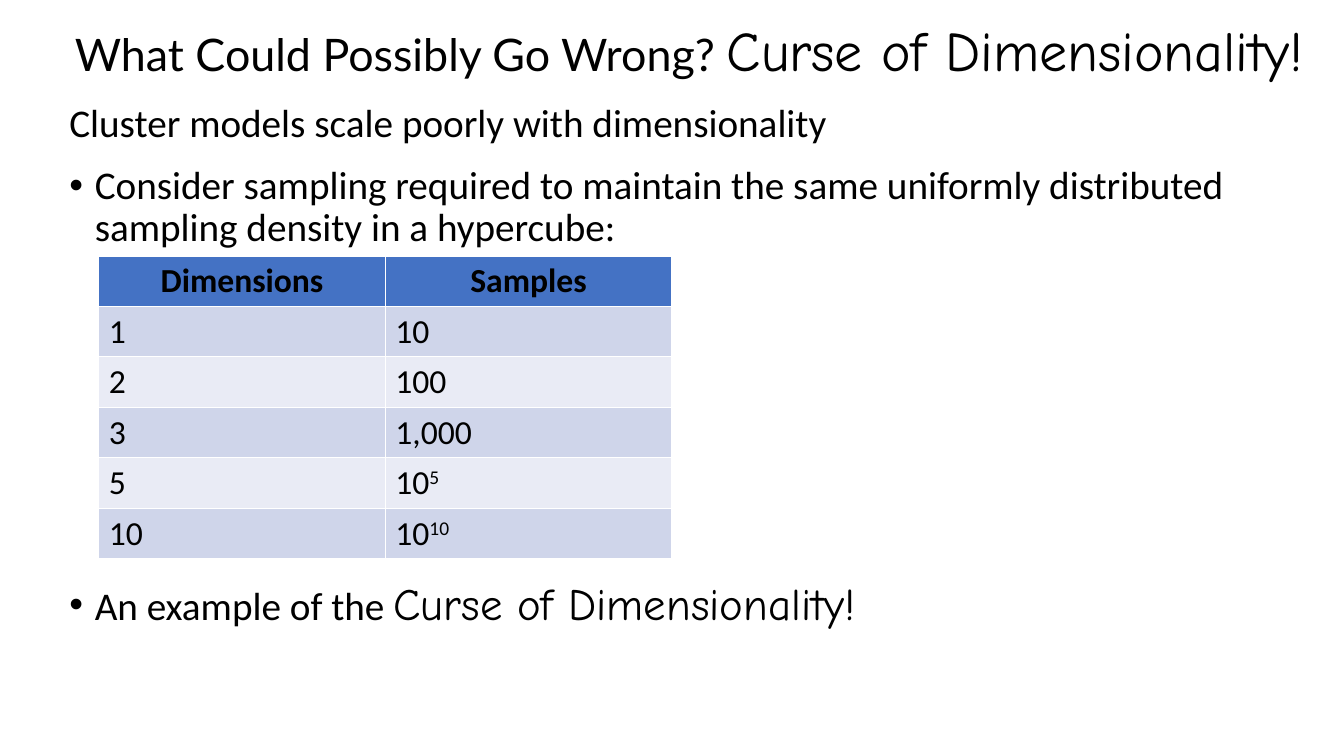
"""Build the slide on how cluster models scale with dimensionality."""
from lxml import etree
from pptx import Presentation
from pptx.dml.color import RGBColor
from pptx.enum import text
from pptx.oxml import ns
from pptx.util import Cm, Pt

COLORS = {"text": "000000", "header": "4472C4", "odd": "CFD5EA", "even": "E9EBF5"}
CURSE = "Curse of Dimensionality!"


def style(font, name, size, bold=False):
    font.name, font.size, font.bold = name, Pt(size), bold
    font.color.rgb = RGBColor.from_string(COLORS["text"])


def add_run(p, words, name, size):
    r = p.add_run()
    r.text = words
    style(r.font, name, size)
    return r


prs = Presentation()
prs.slide_width, prs.slide_height = Cm(33.87), Cm(19.05)
s = prs.slides.add_slide(prs.slide_layouts[5])

title = s.shapes.title
title.left, title.top, title.width, title.height = Cm(1.63), Cm(0.61), Cm(31.67), Cm(1.47)
tf = title.text_frame
tf.auto_size = text.MSO_AUTO_SIZE.NONE
tf.vertical_anchor = text.MSO_ANCHOR.MIDDLE
p = tf.paragraphs[0]
p.alignment, p.line_spacing = text.PP_ALIGN.LEFT, 0.9
add_run(p, "What Could Possibly Go Wrong? ", "Lato", 32)
add_run(p, CURSE, "Comic Neue", 40)

body = s.shapes.add_textbox(Cm(1.5), Cm(2.49), Cm(31.45), Cm(15.57))
tf = body.text_frame
tf.word_wrap = True
points = [
    ("Cluster models scale poorly with dimensionality", "", False, 0),
    ("Consider sampling required to maintain the same uniformly distributed "
     "sampling density in a hypercube:", "", True, 14),
    ("An example of the ", CURSE, True, 237),
]
for i, (words, accent, bulleted, gap) in enumerate(points):
    p = tf.add_paragraph() if i else tf.paragraphs[0]
    p.line_spacing, p.space_before = 0.9, Pt(gap)
    add_run(p, words, "Calibri", 28)
    if accent:
        add_run(p, accent, "Comic Neue", 32)
    if bulleted:
        pPr = p._p.get_or_add_pPr()
        pPr.set("marL", str(Cm(0.64)))
        pPr.set("indent", str(-Cm(0.64)))
        etree.SubElement(pPr, ns.qn("a:buFont")).set("typeface", "Arial")
        etree.SubElement(pPr, ns.qn("a:buChar")).set("char", "•")

rows = [
    ("Dimensions", "Samples", ""),
    ("1", "10", ""),
    ("2", "100", ""),
    ("3", "1,000", ""),
    ("5", "10", "5"),
    ("10", "10", "10"),
]
table = s.shapes.add_table(len(rows), 2, Cm(2.49), Cm(6.45), Cm(14.44), Cm(7.62)).table
for i, (dimensions, samples, exponent) in enumerate(rows):
    fill = "header" if i == 0 else "odd" if i % 2 else "even"
    for j, words in enumerate((dimensions, samples)):
        cell = table.cell(i, j)
        cell.fill.solid()
        cell.fill.fore_color.rgb = RGBColor.from_string(COLORS[fill])
        p = cell.text_frame.paragraphs[0]
        p.alignment = text.PP_ALIGN.LEFT if i else text.PP_ALIGN.CENTER
        r = add_run(p, words, "Calibri", 24)
        r.font.bold = i == 0
    if exponent:
        r = add_run(p, exponent, "Calibri", 24)
        r._r.get_or_add_rPr().set("baseline", "30000")

prs.save("out.pptx")
